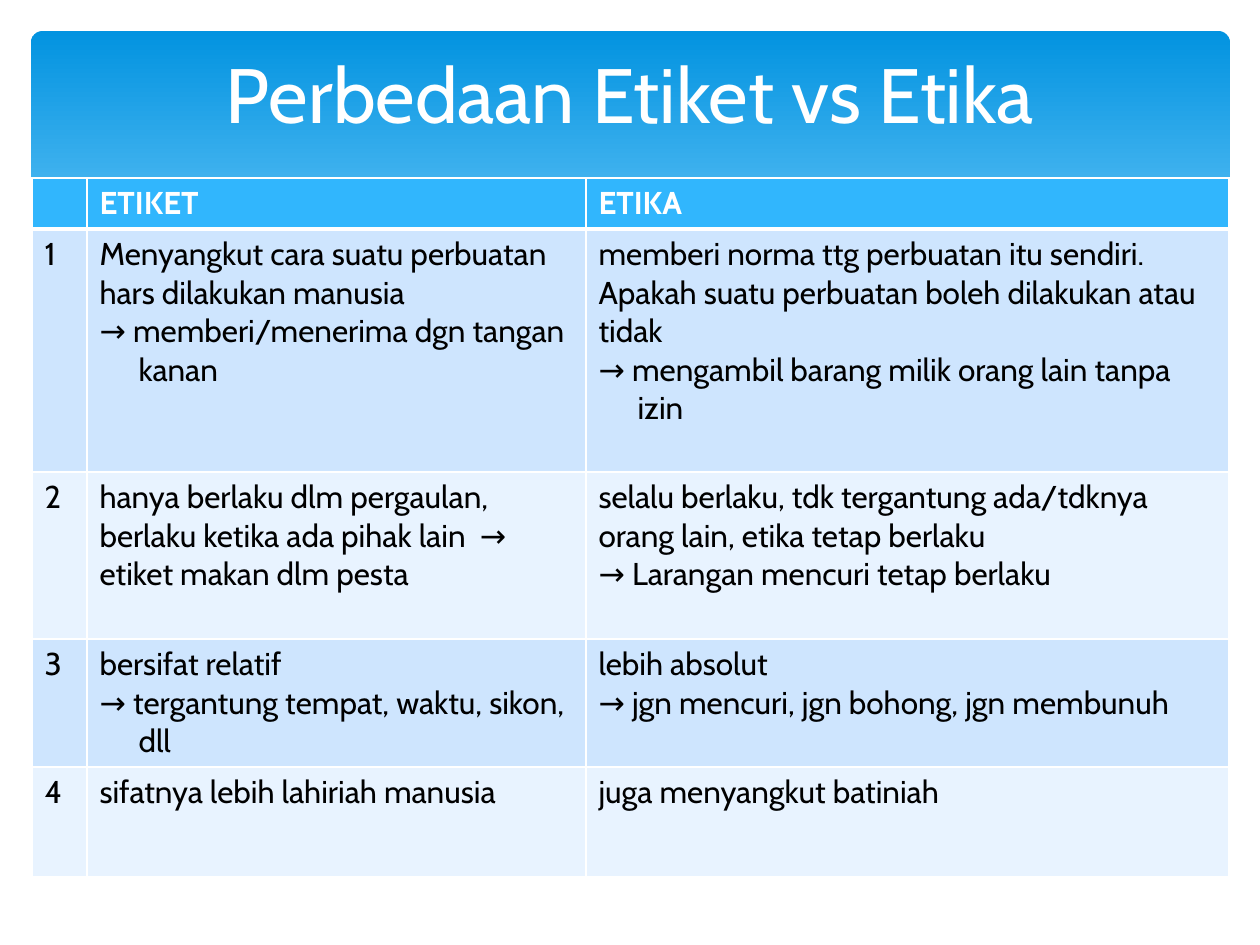
from lxml import etree
from pptx import Presentation
from pptx.dml.color import RGBColor
from pptx.enum.shapes import MSO_SHAPE
from pptx.enum.text import MSO_ANCHOR, PP_ALIGN
from pptx.oxml.ns import qn
from pptx.util import Pt

ROUND_RECT = MSO_SHAPE.ROUNDED_RECTANGLE
MIDDLE, CENTER = MSO_ANCHOR.MIDDLE, PP_ALIGN.CENTER
PX = 914400 // 126
FONT = "Cabin"


def rgb(color):
    return RGBColor.from_string(color)


def style(p, size, color, bold=False):
    for r in p.runs:
        r.font.name, r.font.size, r.font.bold = FONT, Pt(size), bold
        r.font.color.rgb = rgb(color)


prs = Presentation()
prs.slide_width, prs.slide_height = 1260 * PX, 945 * PX
s = prs.slides.add_slide(prs.slide_layouts[5])
title = s.shapes.title

# Gradient banner
banner = s.shapes.add_shape(ROUND_RECT, 31 * PX, 31 * PX, 1199 * PX, 340 * PX)
banner.shadow.inherit = False
banner.adjustments[0] = 0.034
banner.line.fill.background()
banner.fill.gradient()
banner.fill.gradient_angle = 270
for stop, pos, color in zip(banner.fill.gradient_stops, (0, 0.9), ("0293E0", "83D3FE")):
    stop.position = pos
    stop.color.rgb = rgb(color)

# Waves: points, fill, opacity in percent (no fill means a white line)
waves = [
    ([(1229, 252), (1142, 268), (1048, 290), (949, 314), (833, 334), (906, 342), (998, 349),
      (1087, 348), (1160, 336), (1230, 311), (1230, 252)], "C6E7FC", 29),
    ([(1125, 344), (1017, 328), (890, 302), (793, 280), (699, 258), (586, 241), (479, 233),
      (360, 241), (456, 256), (566, 280), (713, 312), (838, 335), (943, 347), (1031, 350),
      (1125, 344)], "C6E7FC", 40),
    ([(389, 246), (471, 237), (567, 236), (671, 244), (766, 257), (876, 276), (1002, 304),
      (1143, 343)], None, 100),
    ([(772, 324), (876, 296), (978, 272), (1091, 251), (1164, 239), (1229, 233)], None, 100),
    ([(1231, 310), (1146, 336), (1055, 348), (960, 348), (867, 340), (760, 320), (634, 294),
      (527, 268), (428, 248), (341, 237), (243, 232), (150, 238), (74, 251), (29, 268),
      (29, 415), (1231, 415), (1231, 310)], "FFFFFF", 100),
]
for points, color, opacity in waves:
    builder = s.shapes.build_freeform(*points[0], scale=PX)
    builder.add_line_segments(points[1:], close=color is not None)
    wave = builder.convert_to_shape()
    wave.shadow.inherit = False
    if color is None:
        wave.fill.background()
        wave.line.color.rgb = rgb("FFFFFF")
        wave.line.width = 0
        continue
    wave.line.fill.background()
    wave.fill.solid()
    wave.fill.fore_color.rgb = rgb(color)
    if opacity < 100:
        srgb = wave.fill.fore_color._xFill.find(qn("a:srgbClr"))
        etree.SubElement(srgb, qn("a:alpha"), val=str(opacity * 1000))

# Comparison table
rows = [
    ("", "ETIKET", "ETIKA"),
    ("1", "Menyangkut cara suatu perbuatan hars dilakukan manusia \n"
          "→ memberi/menerima dgn tangan kanan",
     "memberi norma ttg perbuatan itu sendiri. Apakah suatu perbuatan boleh dilakukan atau tidak \n"
     "→ mengambil barang milik orang lain tanpa izin"),
    ("2", "hanya berlaku dlm pergaulan, berlaku ketika ada pihak lain  → etiket makan dlm pesta",
     "selalu berlaku, tdk tergantung ada/tdknya orang lain, etika tetap berlaku \n"
     "→ Larangan mencuri tetap berlaku"),
    ("3", "bersifat relatif \n→ tergantung tempat, waktu, sikon, dll",
     "lebih absolut \n→ jgn mencuri, jgn bohong, jgn membunuh"),
    ("4", "sifatnya lebih lahiriah manusia", "juga menyangkut batiniah "),
]
widths, heights = [55, 499, 643], [51, 243, 167, 128, 110]
table = s.shapes.add_table(len(rows), len(widths), 32 * PX, 178 * PX,
                           sum(widths) * PX, sum(heights) * PX).table
for column, width in zip(table.columns, widths):
    column.width = width * PX
for i, (texts, height) in enumerate(zip(rows, heights)):
    header = i == 0
    table.rows[i].height = height * PX
    for j, text in enumerate(texts):
        cell = table.cell(i, j)
        cell.text = text
        for p in cell.text_frame.paragraphs:
            style(p, 18, "FFFFFF" if header else "000000", header)
            if p.text.startswith("→"):
                pPr = p._p.get_or_add_pPr()
                pPr.set("marL", str(39 * PX))
                pPr.set("indent", str(-39 * PX))
        # Borders come before the fill in the cell properties
        tcPr = cell._tc.get_or_add_tcPr()
        for side in ("lnL", "lnR", "lnT", "lnB"):
            thick = (header and side == "lnB") or (i == 1 and side == "lnT")
            ln = etree.SubElement(tcPr, qn("a:" + side), w=str(Pt(3 if thick else 1)))
            line_fill = etree.SubElement(ln, qn("a:solidFill"))
            etree.SubElement(line_fill, qn("a:srgbClr"), val="FFFFFF")
        cell.fill.solid()
        cell.fill.fore_color.rgb = rgb("31B6FD" if header else ("E8F3FF", "CEE5FE")[i % 2])

# Title, brought in front of the banner
s.shapes._spTree.append(title._element)
title.left, title.top, title.width, title.height = 63 * PX, 38 * PX, 1134 * PX, 110 * PX
title.text_frame.text = "Perbedaan Etiket vs Etika"
title.text_frame.vertical_anchor = MIDDLE
p = title.text_frame.paragraphs[0]
p.alignment = CENTER
style(p, 44, "FFFFFF")

prs.save("out.pptx")
